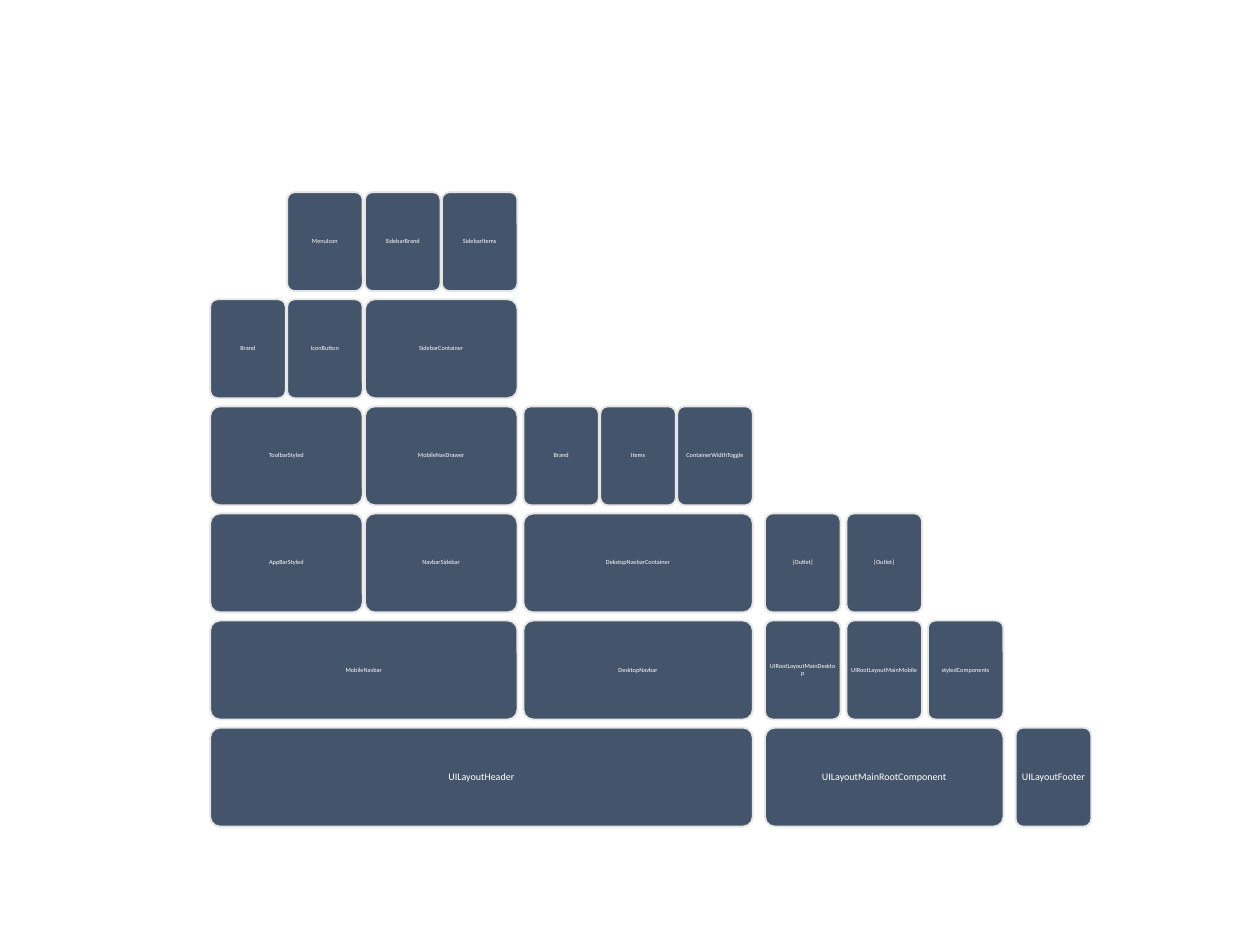
from pptx import Presentation
from pptx.dml.color import RGBColor
from pptx.enum.shapes import MSO_SHAPE
from pptx.enum.text import MSO_ANCHOR, PP_ALIGN
from pptx.util import Pt

ROUNDED = MSO_SHAPE.ROUNDED_RECTANGLE
MIDDLE = MSO_ANCHOR.MIDDLE
CENTER = PP_ALIGN.CENTER

# Each component is (name, children); children stack above their parent.
COMPONENTS = [
    ("UILayoutHeader", [
        ("MobileNavbar", [
            ("AppBarStyled", [
                ("ToolbarStyled", [
                    ("Brand", []),
                    ("IconButton", [("MenuIcon", [])]),
                ]),
            ]),
            ("NavbarSidebar", [
                ("MobileNavDrawer", [
                    ("SidebarContainer", [
                        ("SidebarBrand", []),
                        ("SidebarItems", []),
                    ]),
                ]),
            ]),
        ]),
        ("DesktopNavbar", [
            ("DekstopNavbarContainer", [
                ("Brand", []),
                ("Items", []),
                ("ContainerWidthToggle", []),
            ]),
        ]),
    ]),
    ("UILayoutMainRootComponent", [
        ("UIRootLayoutMainDesktop", [("{Outlet}", [])]),
        ("UIRootLayoutMainMobile", [("{Outlet}", [])]),
        ("styledComponents", []),
    ]),
    ("UILayoutFooter", []),
]

COLORS = {"fill": "44546A", "line": "E7E6E6", "text": "FFFFFF"}
FONT = "Calibri"

PX = 4572  # EMU; 200 px to the inch
PAGE_WIDTH, PAGE_HEIGHT = 2800, 2100
LEFT, BASE_TOP = 467, 1617
LEAF_WIDTH, BOX_HEIGHT, ROW_STEP = 168, 220, 238
GAPS = [27, 13, 5, 3, 3, 3]  # between siblings, by depth
CORNER = 0.1  # radius as a share of the shorter side


def row_width(components, depth):
    gaps = GAPS[depth] * (len(components) - 1)
    return gaps + sum(box_width(children, depth) for _, children in components)


def box_width(children, depth):
    return row_width(children, depth + 1) if children else LEAF_WIDTH


def write_text(box, text, *, size, inset, color=COLORS["text"]):
    frame = box.text_frame
    frame.word_wrap = True
    frame.vertical_anchor = MIDDLE
    frame.margin_left = frame.margin_right = inset * PX
    frame.margin_top = frame.margin_bottom = inset * PX
    para = frame.paragraphs[0]
    para.alignment = CENTER
    para.line_spacing = 0.9
    span = para.add_run()
    span.text = text
    span.font.name = FONT
    span.font.size = Pt(size)
    span.font.color.rgb = RGBColor.from_string(color)


def add_box(page, name, left, top, width, depth):
    box = page.shapes.add_shape(
        ROUNDED, left * PX, top * PX, width * PX, BOX_HEIGHT * PX)
    box.adjustments[0] = CORNER
    box.shadow.inherit = False
    box.fill.solid()
    box.fill.fore_color.rgb = RGBColor.from_string(COLORS["fill"])
    box.line.color.rgb = RGBColor.from_string(COLORS["line"])
    box.line.width = Pt(1.5)
    is_root = depth == 0
    write_text(box, name, size=8 if is_root else 5, inset=6 if is_root else 4)


def add_row(page, components, left, depth=0):
    """Draw sibling components side by side, each with its children above it."""
    for name, children in components:
        width = box_width(children, depth)
        add_box(page, name, left, BASE_TOP - depth * ROW_STEP, width, depth)
        add_row(page, children, left, depth + 1)
        left += width + GAPS[depth]


def main():
    deck = Presentation()
    deck.slide_width = PAGE_WIDTH * PX
    deck.slide_height = PAGE_HEIGHT * PX
    page = deck.slides.add_slide(deck.slide_layouts[6])
    add_row(page, COMPONENTS, LEFT)
    deck.save("out.pptx")


if __name__ == "__main__":
    main()
